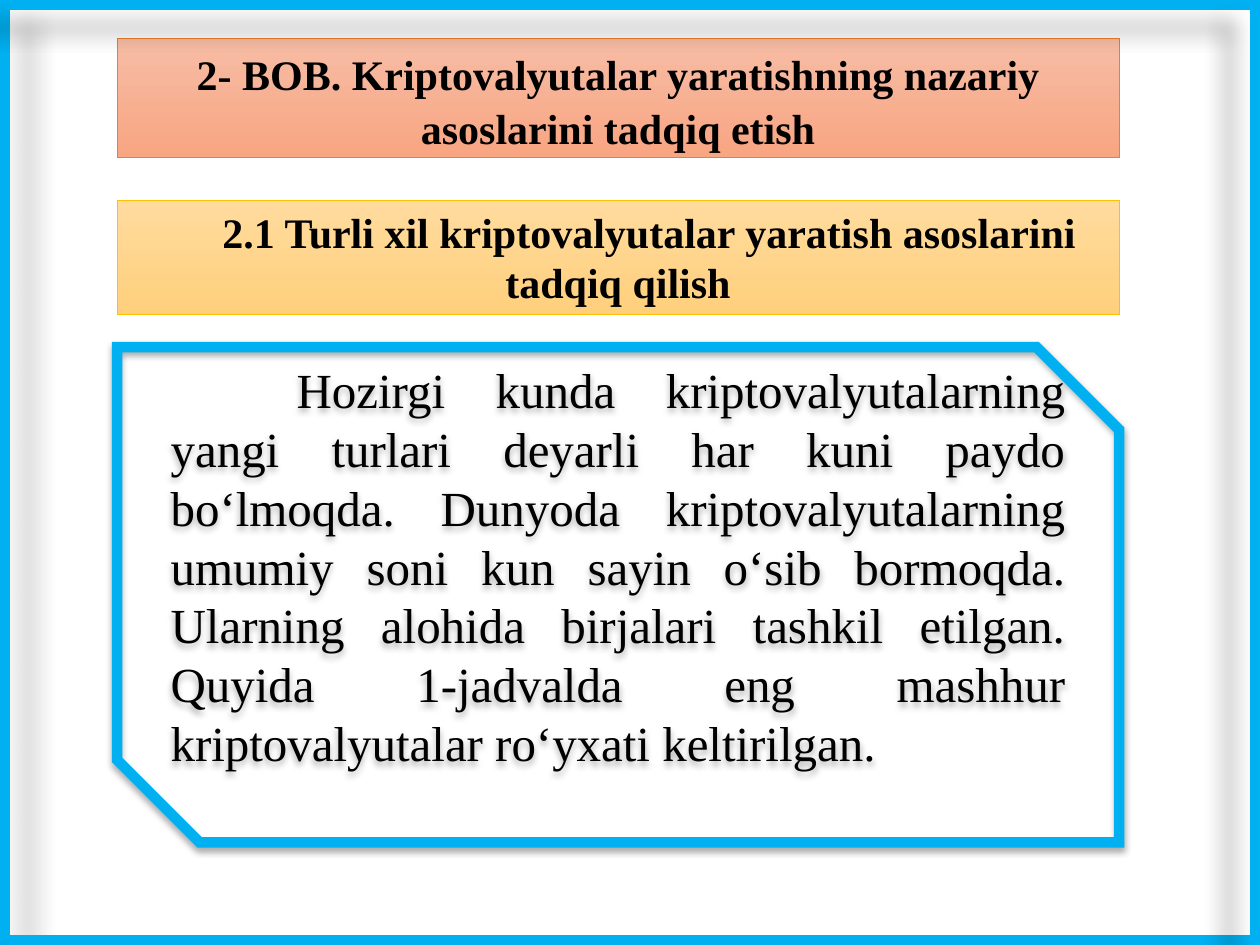
import lxml.etree
import pptx
import pptx.dml.color
import pptx.enum.shapes
import pptx.enum.text
import pptx.oxml.ns
import pptx.util

Cm = pptx.util.Cm
Pt = pptx.util.Pt
RGBColor = pptx.dml.color.RGBColor
Shape = pptx.enum.shapes.MSO_SHAPE
Align = pptx.enum.text.PP_ALIGN
Anchor = pptx.enum.text.MSO_ANCHOR
AutoSize = pptx.enum.text.MSO_AUTO_SIZE
qn = pptx.oxml.ns.qn

BLACK = RGBColor(0, 0, 0)
SKY = RGBColor(0x00, 0xB0, 0xF0)
ORANGE = RGBColor(0xED, 0x7D, 0x31)
GOLD = RGBColor(0xFF, 0xC0, 0x00)
SALMON = (RGBColor(0xF7, 0xBD, 0xA5), RGBColor(0xF8, 0xA5, 0x82))
SAND = (RGBColor(0xFF, 0xDB, 0x9E), RGBColor(0xFF, 0xD0, 0x7C))

WIDTH, HEIGHT, BORDER = 25.4, 19.05, 0.21
LEFT, CONTENT_WIDTH = 2.36, 20.2

BODY_TEXT = (
    "\tHozirgi kunda kriptovalyutalarning yangi turlari deyarli har kuni paydo "
    "bo‘lmoqda. Dunyoda kriptovalyutalarning umumiy soni kun sayin o‘sib bormoqda. "
    "Ularning alohida birjalari tashkil etilgan. Quyida 1-jadvalda eng mashhur "
    "kriptovalyutalar ro‘yxati keltirilgan."
)


def apply_format(target, values):
    for name, value in values.items():
        setattr(target, name, value)


def add_box(shapes, kind, left, top, width, height):
    shape = shapes.add_shape(kind, Cm(left), Cm(top), Cm(width), Cm(height))
    shape.shadow.inherit = False
    return shape


def add_shadow(shape, opacity, blur, distance, angle):
    effects = shape.element.spPr.find(qn("a:effectLst"))
    shadow = lxml.etree.SubElement(
        effects, qn("a:outerShdw"),
        blurRad=str(Pt(blur)), dist=str(Pt(distance)),
        dir=str(angle * 60000), rotWithShape="0",
    )
    color = lxml.etree.SubElement(shadow, qn("a:srgbClr"), val=str(BLACK))
    lxml.etree.SubElement(color, qn("a:alpha"), val=str(opacity * 1000))


def set_line(shape, color, width):
    shape.line.color.rgb = color
    shape.line.width = Pt(width)
    outline = shape.element.spPr.find(qn("a:ln"))
    lxml.etree.SubElement(outline, qn("a:miter"), lim="800000")


def write_text(shape, text, size, bold, frame_format, paragraph_format, indent=0, tab=0):
    frame = shape.text_frame
    apply_format(frame, {"word_wrap": True, **frame_format})
    paragraph = frame.paragraphs[0]
    paragraph.text = text
    apply_format(paragraph, paragraph_format)
    properties = paragraph._p.get_or_add_pPr()
    if indent:
        properties.set("indent", str(Cm(indent)))
    if tab:
        tabs = lxml.etree.SubElement(properties, qn("a:tabLst"))
        lxml.etree.SubElement(tabs, qn("a:tab"), pos=str(Cm(tab)), algn="l")
    font = paragraph.runs[0].font
    apply_format(font, {"name": "Times New Roman", "size": Pt(size), "bold": bold})
    font.color.rgb = BLACK


def add_heading(slide, text, top, height, colors, outline, paragraph_format, indent=0):
    shape = add_box(slide.shapes, Shape.RECTANGLE, LEFT, top, CONTENT_WIDTH, height)
    shape.fill.gradient()
    shape.fill.gradient_angle = 270
    for stop, color in zip(shape.fill.gradient_stops, colors):
        stop.color.rgb = color
    set_line(shape, outline, 0.5)
    write_text(
        shape, text, 24, True,
        {"vertical_anchor": Anchor.TOP, "auto_size": AutoSize.SHAPE_TO_FIT_TEXT},
        {"alignment": Align.CENTER, "space_after": Pt(8), **paragraph_format},
        indent=indent,
    )


def add_frame(slide):
    group = slide.shapes.add_group_shape()
    edge_shadow = (28, 11.8, 19.7, 141)
    bars = [
        (0, 0, BORDER, HEIGHT, (30, 15, 18, 45)),
        (BORDER, 0, WIDTH - 1.5 * BORDER, BORDER, edge_shadow),
        (BORDER, HEIGHT - BORDER, WIDTH - BORDER, BORDER, edge_shadow),
        (WIDTH - BORDER, 0, BORDER, HEIGHT, edge_shadow),
    ]
    for left, top, width, height, shadow in bars:
        bar = add_box(group.shapes, Shape.FLOWCHART_PROCESS, left, top, width, height)
        bar.fill.solid()
        bar.fill.fore_color.rgb = SKY
        bar.line.fill.background()
        add_shadow(bar, *shadow)


def add_body(slide):
    shape = add_box(slide.shapes, Shape.SNIP_2_DIAG_RECTANGLE, LEFT, 7, CONTENT_WIDTH, 9.98)
    shape.fill.background()
    set_line(shape, SKY, 6)
    add_shadow(shape, 32, 3.5, 2.2, 90)
    write_text(
        shape, BODY_TEXT, 28, False,
        {"vertical_anchor": Anchor.MIDDLE, "margin_bottom": Cm(1.3)},
        {"alignment": Align.JUSTIFY},
        tab=2.54,
    )


def main():
    presentation = pptx.Presentation()
    presentation.slide_width = Cm(WIDTH)
    presentation.slide_height = Cm(HEIGHT)
    slide = presentation.slides.add_slide(presentation.slide_layouts[6])
    add_heading(
        slide, "2- BOB. Kriptovalyutalar yaratishning nazariy asoslarini tadqiq etish",
        0.78, 2.39, SALMON, ORANGE, {"line_spacing": 1.07},
    )
    add_frame(slide)
    add_body(slide)
    add_heading(
        slide, "2.1 Turli xil kriptovalyutalar yaratish asoslarini tadqiq qilish",
        4.04, 2.31, SAND, GOLD, {}, indent=1.25,
    )
    presentation.save("out.pptx")


if __name__ == "__main__":
    main()
